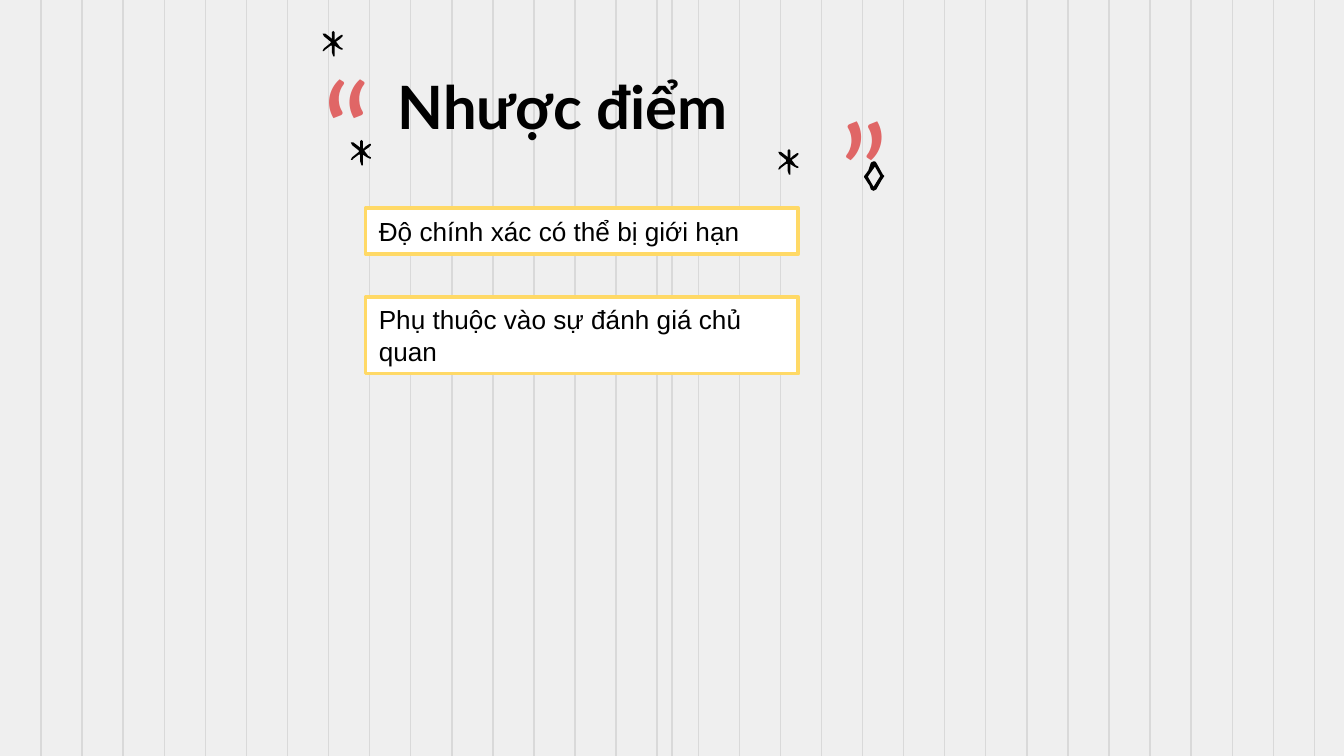
from lxml.etree import SubElement
from pptx import Presentation
from pptx.dml.color import RGBColor
from pptx.enum.shapes import MSO_CONNECTOR, MSO_SHAPE
from pptx.enum.text import MSO_ANCHOR, MSO_AUTO_SIZE, PP_ALIGN
from pptx.oxml.ns import qn
from pptx.util import Inches, Pt

BLACK = RGBColor(0x00, 0x00, 0x00)
WHITE = RGBColor(0xFF, 0xFF, 0xFF)
PAPER = RGBColor(0xEF, 0xEF, 0xEF)
RULE = RGBColor(0xD9, 0xD9, 0xD9)
RED = RGBColor(0xE0, 0x66, 0x66)
YELLOW = RGBColor(0xFF, 0xD9, 0x66)

RULE_COUNT = 32
LAST_RULE = 9.78
CENTER_RULE = 5

HEADINGS = [
    ("“", (1.46, 0.26, 2.24, 0.63), 72, RED, False, PP_ALIGN.CENTER),
    ("”", (5.31, 0.57, 2.24, 0.63), 72, RED, False, PP_ALIGN.CENTER),
    ("Nhược điểm\v", (2.86, 0.42, 4.18, 0.63), 32, BLACK, True, PP_ALIGN.LEFT),
]
DRAWBACKS = [
    ("Độ chính xác có thể bị giới hạn", 1.55, 0.34),
    ("Phụ thuộc vào sự đánh giá chủ quan", 2.21, 0.57),
]

ASTERISK = [[
    (8, 0), (7, 1), (7, 6), (6, 5), (2, 2), (1, 2), (0, 2), (1, 4), (6, 8),
    (6, 9), (1, 13), (0, 15), (1, 15), (2, 14), (6, 11), (7, 11), (7, 16),
    (8, 19), (9, 19), (9, 17), (9, 11), (12, 13), (14, 14), (15, 14),
    (15, 13), (13, 12), (10, 8), (13, 6), (15, 4), (15, 3), (14, 3), (11, 5),
    (9, 7), (9, 4), (9, 1),
]]
DIAMOND = [
    [(7, 0), (5, 1), (3, 7), (0, 11), (0, 12), (4, 18), (5, 21), (7, 22),
     (9, 21), (13, 14), (15, 11), (14, 10), (9, 1), (8, 0)],
    [(8, 4), (12, 11), (7, 19), (3, 12), (3, 11)],
]
DOODLES = [
    (DIAMOND, 6.43, 1.20),
    (ASTERISK, 2.61, 1.04),
    (ASTERISK, 5.79, 1.11),
    (ASTERISK, 2.40, 0.23),
]


def add_rule(slide, x):
    rule = slide.shapes.add_connector(
        MSO_CONNECTOR.STRAIGHT, Inches(x), Inches(-0.01), Inches(x), Inches(5.63))
    rule.line.color.rgb = RULE
    rule.line.width = Pt(0.75)
    SubElement(rule._element.spPr, qn("a:effectLst"))


def write_text(shape, text, font_name, size, color, bold, alignment):
    frame = shape.text_frame
    frame.word_wrap = True
    paragraph = frame.paragraphs[0]
    paragraph.text = text
    paragraph.alignment = alignment
    paragraph.font.name = font_name
    paragraph.font.size = Pt(size)
    paragraph.font.bold = bold
    paragraph.font.color.rgb = color
    return frame


def add_heading(slide, text, box, size, color, bold, alignment):
    shape = slide.shapes.add_textbox(*map(Inches, box))
    frame = write_text(shape, text, "Lato", size, color, bold, alignment)
    frame.vertical_anchor = MSO_ANCHOR.TOP
    frame.margin_top = frame.margin_bottom = Inches(0.1)


def add_doodle(slide, contours, left, top):
    builder = slide.shapes.build_freeform(*contours[0][0], scale=Inches(0.01))
    for index, contour in enumerate(contours):
        if index:
            builder.move_to(*contour[0])
        builder.add_line_segments(contour[1:], close=True)
    shape = builder.convert_to_shape(Inches(left), Inches(top))
    shape.shadow.inherit = False
    shape.fill.solid()
    shape.fill.fore_color.rgb = BLACK
    shape.line.fill.background()


def add_drawback(slide, text, top, height):
    shape = slide.shapes.add_shape(
        MSO_SHAPE.RECTANGLE, Inches(2.72), Inches(top), Inches(3.22), Inches(height))
    shape.shadow.inherit = False
    shape.fill.solid()
    shape.fill.fore_color.rgb = WHITE
    shape.line.color.rgb = YELLOW
    shape.line.width = Pt(2)
    frame = write_text(shape, text, "Arial", 14, BLACK, False, PP_ALIGN.LEFT)
    frame.vertical_anchor = MSO_ANCHOR.TOP
    frame.auto_size = MSO_AUTO_SIZE.SHAPE_TO_FIT_TEXT


def main():
    presentation = Presentation()
    presentation.slide_width = Inches(10)
    presentation.slide_height = presentation.slide_width * 9 // 16
    slide = presentation.slides.add_slide(presentation.slide_layouts[6])
    slide.background.fill.solid()
    slide.background.fill.fore_color.rgb = PAPER

    for number in range(1, RULE_COUNT + 1):
        add_rule(slide, LAST_RULE * number / RULE_COUNT)
    add_rule(slide, CENTER_RULE)
    for heading in HEADINGS:
        add_heading(slide, *heading)
    for doodle in DOODLES:
        add_doodle(slide, *doodle)
    for drawback in DRAWBACKS:
        add_drawback(slide, *drawback)

    presentation.save("out.pptx")


if __name__ == "__main__":
    main()
